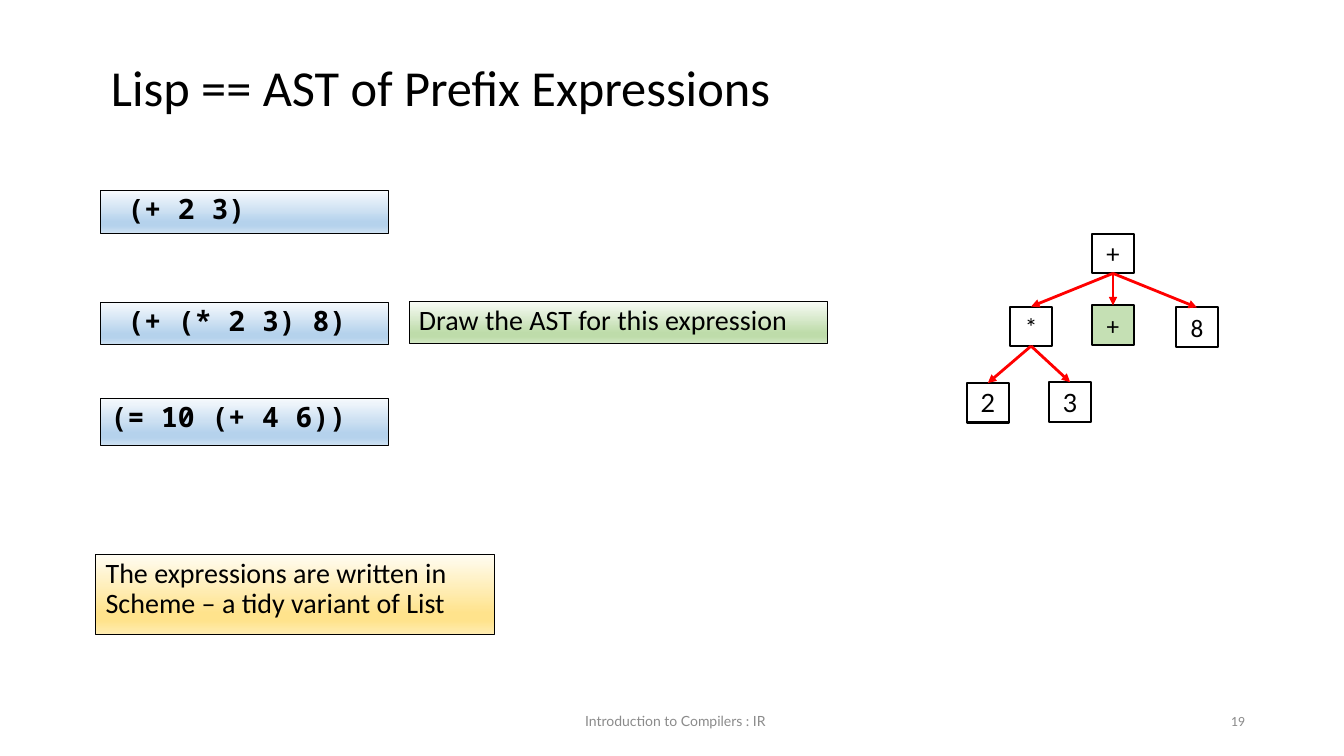
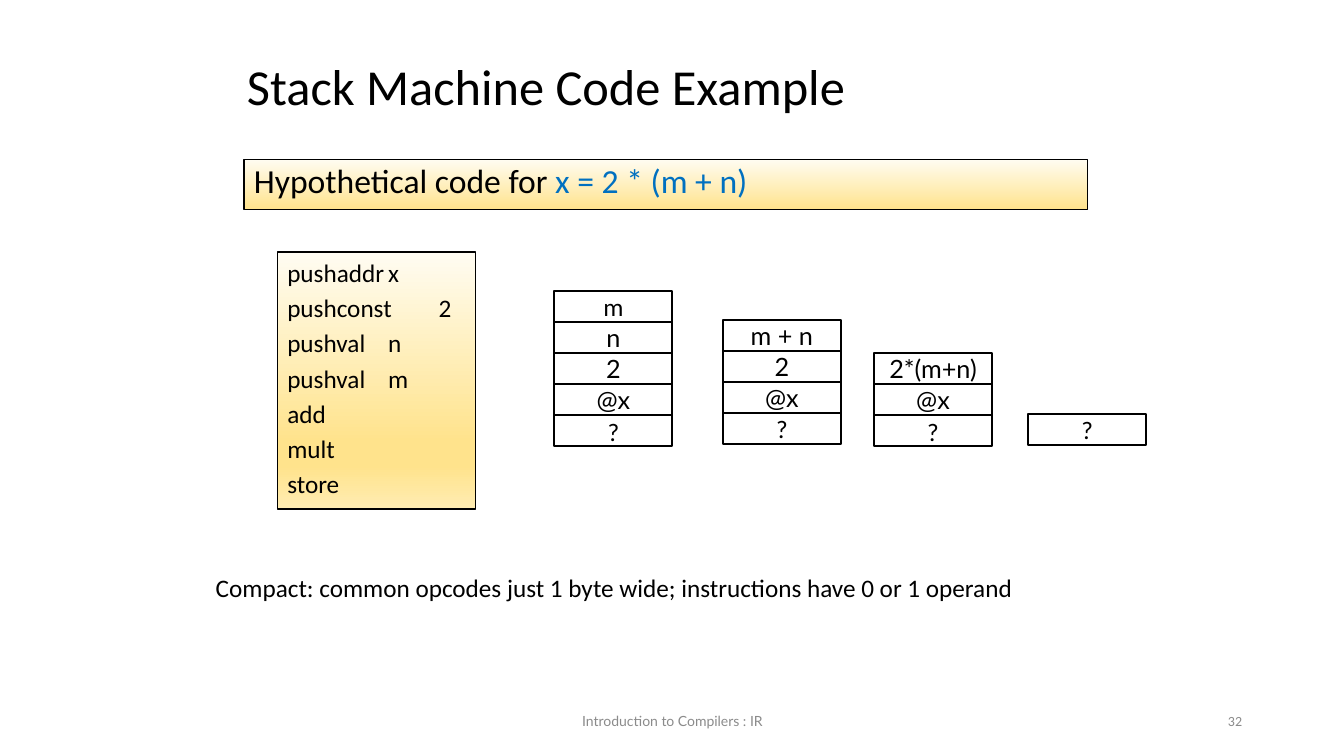
from dataclasses import dataclass

from lxml import etree
from pptx import Presentation
from pptx import slide as sl
from pptx import util as u
from pptx.dml.color import RGBColor
from pptx.enum import shapes, text
from pptx.oxml import ns
from pptx.shapes.autoshape import Shape

WIDTH, HEIGHT = u.Inches(13.33), u.Inches(7.5)
COLUMN, ROW = WIDTH / 32, HEIGHT / 18

BLACK = RGBColor(0x00, 0x00, 0x00)
GREY = RGBColor(0x8B, 0x8B, 0x8B)
RED = RGBColor(0xFF, 0x00, 0x00)
BLUE = RGBColor(0x00, 0x70, 0xC0)
LEAF = RGBColor(0xC5, 0xE0, 0xB4)

SANS, ALT_SANS, MONO = "Calibri", "Lato", "Noto Sans Mono"
LEFT, CENTER, RIGHT = text.PP_ALIGN.LEFT, text.PP_ALIGN.CENTER, text.PP_ALIGN.RIGHT
TOP, MIDDLE = text.MSO_ANCHOR.TOP, text.MSO_ANCHOR.MIDDLE

Gradient = tuple[tuple[int, RGBColor], ...]


def sheen(light: str, deep: str, end: str) -> Gradient:
    stops = ((0, light), (74, deep), (83, deep), (100, end))
    return tuple((share, RGBColor.from_string(tone)) for share, tone in stops)


SKY = sheen("F7FAFD", "B5D2EC", "CEE1F2")
MEADOW = sheen("F8FBF6", "BEDCAA", "D4E8C6")
SAND = sheen("FFFCF2", "FFE38C", "FFECB2")
PLAIN_SAND = (SAND[0], (100, SAND[1][1]))


@dataclass(frozen=True)
class Area:
    col: float
    row: float
    cols: float
    rows: float

    def emu(self) -> tuple[u.Emu, ...]:
        return (
            u.Emu(round(self.col * COLUMN)),
            u.Emu(round(self.row * ROW)),
            u.Emu(round(self.cols * COLUMN)),
            u.Emu(round(self.rows * ROW)),
        )


@dataclass(frozen=True)
class Style:
    size: float
    font: str = SANS
    color: RGBColor = BLACK
    bold: bool = False
    align: text.PP_ALIGN = LEFT
    anchor: text.MSO_ANCHOR = TOP
    wrap: bool = True
    spacing: float = 1.0
    before: float = 0


@dataclass(frozen=True)
class Banner:
    area: Area
    runs: tuple[tuple[str, RGBColor], ...]
    gradient: Gradient
    style: Style


@dataclass(frozen=True)
class Node:
    label: str
    col: float
    row: float
    font: str = SANS
    fill: RGBColor | None = None
    parent: int | None = None


@dataclass(frozen=True)
class Stack:
    col: float
    base: float
    cells: tuple[str, ...]


TITLE = Style(36, anchor=MIDDLE, spacing=0.9)
FOOTER = Style(10, ALT_SANS, GREY, align=CENTER, anchor=MIDDLE)
NUMBER = Style(10, SANS, GREY, align=RIGHT, anchor=MIDDLE)
CODE = Style(20, MONO, bold=True, spacing=0.9, before=10)
NOTE = Style(20, spacing=0.9, before=10)
HEADING = Style(24, spacing=0.9, before=10)
OPCODE = Style(18, before=3.6)
CAPTION = Style(18)

NODE_COLS, NODE_ROWS = 1, 0.94
CELL_COLS, CELL_ROWS = 2.81, 0.74
OPERAND_STOP = 2.75

BANNERS = (
    Banner(Area(2.4, 4.54, 6.84, 1.01), ((" (+ 2 3)", BLACK),), SKY, CODE),
    Banner(Area(2.4, 7.2, 6.84, 1.01), ((" (+ (* 2 3) 8)", BLACK),), SKY, CODE),
    Banner(Area(2.4, 9.48, 6.84, 1.13), (("(= 10 (+ 4 6))", BLACK),), SKY, CODE),
    Banner(Area(9.74, 7.18, 9.96, 1.01),
           (("Draw the AST for this expression", BLACK),), MEADOW, NOTE),
    Banner(Area(2.28, 13.2, 9.5, 1.9),
           (("The expressions are written in Scheme – a tidy variant of List", BLACK),),
           SAND, NOTE),
)
HYPOTHESIS = Banner(
    Area(5.81, 3.79, 20.09, 1.2),
    (("Hypothetical code for ", BLACK), ("x = 2 * (m + n)", BLUE)),
    PLAIN_SAND, HEADING,
)
TREE = (
    Node("+", 26, 5.57, ALT_SANS),
    Node("*", 24.05, 7.3, parent=0),
    Node("+", 26, 7.27, fill=LEAF, parent=0),
    Node("8", 28, 7.32, parent=0),
    Node("2", 23.02, 9.12, ALT_SANS, parent=1),
    Node("3", 24.98, 9.1, ALT_SANS, parent=1),
)
INSTRUCTIONS = ("pushaddr\tx", "pushconst\t2", "pushval\tn", "pushval\tm",
                "add", "mult", "store")
STACKS = (
    Stack(13.2, 9.89, ("?", "@x", "2", "n", "m")),
    Stack(17.21, 9.84, ("?", "@x", "2", "m + n")),
    Stack(20.81, 9.89, ("?", "@x", "2*(m+n)")),
    Stack(24.48, 9.86, ("?",)),
)


def write(shape: Shape, style: Style,
          lines: tuple[tuple[tuple[str, RGBColor], ...], ...]) -> None:
    frame = shape.text_frame
    frame.auto_size = text.MSO_AUTO_SIZE.NONE
    frame.word_wrap = style.wrap
    frame.vertical_anchor = style.anchor
    for index, line in enumerate(lines):
        paragraph = frame.add_paragraph() if index else frame.paragraphs[0]
        paragraph.alignment = style.align
        paragraph.line_spacing = style.spacing
        paragraph.space_before = u.Pt(style.before)
        for words, color in line:
            run = paragraph.add_run()
            run.text = words
            run.font.name = style.font
            run.font.size = u.Pt(style.size)
            run.font.bold = style.bold
            run.font.color.rgb = color


def place(shape: Shape, area: Area) -> None:
    shape.left, shape.top, shape.width, shape.height = area.emu()


def outline(shape: Shape, points: float) -> None:
    shape.shadow.inherit = False
    shape.line.color.rgb = BLACK
    shape.line.width = u.Pt(points)


def shade(shape: Shape, gradient: Gradient) -> None:
    shape.fill.gradient()
    shape.fill.gradient_angle = 270
    stops = shape._element.spPr.find(ns.qn("a:gradFill")).find(ns.qn("a:gsLst"))
    for stop in list(stops):
        stops.remove(stop)
    for share, color in gradient:
        stop = etree.SubElement(stops, ns.qn("a:gs"), pos=str(share * 1000))
        etree.SubElement(stop, ns.qn("a:srgbClr"), val=str(color))


def add_label(slide: sl.Slide, area: Area, words: str, style: Style) -> None:
    label = slide.shapes.add_textbox(*area.emu())
    write(label, style, (((words, style.color),),))


def add_banner(slide: sl.Slide, banner: Banner) -> None:
    box = slide.shapes.add_shape(shapes.MSO_SHAPE.RECTANGLE, *banner.area.emu())
    shade(box, banner.gradient)
    outline(box, 0.75)
    write(box, banner.style, (banner.runs,))


def add_cell(slide: sl.Slide, area: Area, label: str, font: str,
             fill: RGBColor | None = None) -> Shape:
    cell = slide.shapes.add_shape(shapes.MSO_SHAPE.RECTANGLE, *area.emu())
    if fill is None:
        cell.fill.background()
    else:
        cell.fill.solid()
        cell.fill.fore_color.rgb = fill
    outline(cell, 1.5)
    style = Style(18, font, align=CENTER, anchor=MIDDLE, wrap=False)
    write(cell, style, (((label, BLACK),),))
    return cell


def add_branch(slide: sl.Slide, parent: Shape, child: Shape) -> None:
    branch = slide.shapes.add_connector(shapes.MSO_CONNECTOR.STRAIGHT, 0, 0, 0, 0)
    branch.begin_connect(parent, 2)
    branch.end_connect(child, 0)
    branch.line.color.rgb = RED
    branch.line.width = u.Pt(2)
    properties = branch._element.spPr
    etree.SubElement(properties.find(ns.qn("a:ln")), ns.qn("a:tailEnd"), type="triangle")
    etree.SubElement(properties, ns.qn("a:effectLst"))


def add_tree(slide: sl.Slide, nodes: tuple[Node, ...]) -> None:
    drawn: list[Shape] = []
    for node in nodes:
        area = Area(node.col, node.row, NODE_COLS, NODE_ROWS)
        drawn.append(add_cell(slide, area, node.label, node.font, node.fill))
        if node.parent is not None:
            add_branch(slide, drawn[node.parent], drawn[-1])


def add_stack(slide: sl.Slide, stack: Stack) -> None:
    for level, label in enumerate(stack.cells):
        area = Area(stack.col, stack.base - level * CELL_ROWS, CELL_COLS, CELL_ROWS)
        add_cell(slide, area, label, SANS if label in ("?", "m") else ALT_SANS)


def fill_opcodes(opcodes: Shape) -> None:
    place(opcodes, Area(6.6, 6, 4.73, 6.12))
    shade(opcodes, SAND)
    outline(opcodes, 0.75)
    write(opcodes, OPCODE, tuple(((line, BLACK),) for line in INSTRUCTIONS))
    for paragraph in opcodes.text_frame.paragraphs:
        properties = paragraph._p.get_or_add_pPr()
        properties.set("marL", "0")
        properties.set("indent", "0")
        etree.SubElement(properties, ns.qn("a:buNone"))
        stops = etree.SubElement(properties, ns.qn("a:tabLst"))
        etree.SubElement(stops, ns.qn("a:tab"),
                         pos=str(round(OPERAND_STOP * COLUMN)), algn="l")


def start_slide(deck: Presentation, layout: int, title: str, area: Area,
                number: str, footer_col: float) -> sl.Slide:
    slide = deck.slides.add_slide(deck.slide_layouts[layout])
    place(slide.shapes.title, area)
    write(slide.shapes.title, TITLE, (((title, BLACK),),))
    add_label(slide, Area(footer_col, 16.68, 10.8, 0.96),
              "Introduction to Compilers : IR", FOOTER)
    add_label(slide, Area(footer_col + 12, 16.68, 7.2, 0.96), number, NUMBER)
    return slide


def main() -> None:
    deck = Presentation()
    deck.slide_width, deck.slide_height = WIDTH, HEIGHT

    lisp = start_slide(deck, 5, "Lisp == AST of Prefix Expressions",
                       Area(2.4, 1.08, 22.66, 2.14), "19", 10.68)
    for banner in BANNERS:
        add_banner(lisp, banner)
    add_tree(lisp, TREE)

    machine = start_slide(deck, 1, "Stack Machine Code Example",
                          Area(5.64, 0.96, 20.69, 2.33), "32", 10.61)
    add_banner(machine, HYPOTHESIS)
    fill_opcodes(machine.placeholders[1])
    for stack in STACKS:
        add_stack(machine, stack)
    add_label(machine, Area(4.9, 13.51, 22.3, 1.68),
              "Compact: common opcodes just 1 byte wide; instructions have 0 or 1 operand",
              CAPTION)

    deck.save("out.pptx")


main()
